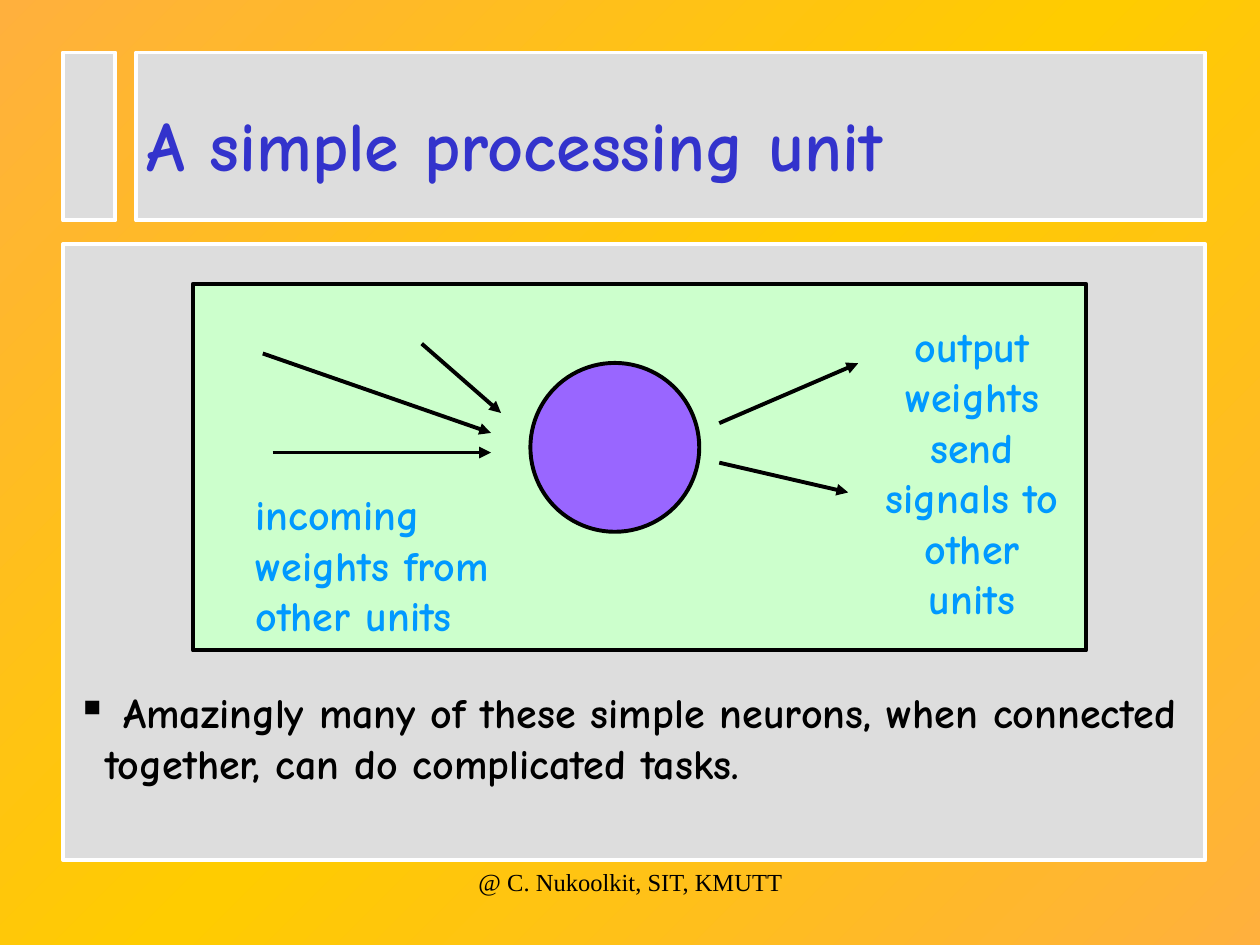
from copy import deepcopy

from lxml import etree
from pptx import Presentation
from pptx.dml.color import RGBColor
from pptx.enum.shapes import MSO_CONNECTOR, MSO_SHAPE
from pptx.enum.text import PP_ALIGN
from pptx.oxml.ns import qn
from pptx.util import Pt

RECT = MSO_SHAPE.RECTANGLE
OVAL = MSO_SHAPE.OVAL
LINE = MSO_CONNECTOR.STRAIGHT
LEFT = PP_ALIGN.LEFT
MID = PP_ALIGN.CENTER

ORANGE = RGBColor(0xFF, 0xB0, 0x3D)
GOLD = RGBColor(0xFF, 0xCC, 0x00)
GREY = RGBColor(0xDD, 0xDD, 0xDD)
WHITE = RGBColor(0xFF, 0xFF, 0xFF)
BLACK = RGBColor(0x00, 0x00, 0x00)
GREEN = RGBColor(0xCC, 0xFF, 0xCC)
PURPLE = RGBColor(0x99, 0x66, 0xFF)
NAVY = RGBColor(0x33, 0x33, 0xCC)
BLUE = RGBColor(0x00, 0x99, 0xFF)


class Page:
    """Style of the deck and the slide being built; lengths in points."""
    font = "Comic Neue"
    size = 24
    width = 2.25
    hang = 16.2

    def __init__(self, slide):
        self.slide = slide
        self.shapes = slide.shapes

    def back(self, edge, core):
        fill = self.slide.background.fill
        fill.gradient()
        fill.gradient_angle = 315
        first = next(self.slide.element.iter(qn("a:gs")))
        middle = deepcopy(first)
        first.addnext(middle)
        colours = (edge, core, edge)
        for i, (stop, colour) in enumerate(zip(fill.gradient_stops, colours)):
            stop.color.rgb = colour
            stop.position = i / 2

    def shape(self, kind, box, fill, line):
        item = self.shapes.add_shape(kind, *map(Pt, box))
        item.shadow.inherit = False
        item.fill.solid()
        item.fill.fore_color.rgb = fill
        item.line.color.rgb = line
        item.line.width = Pt(self.width)

    def arrow(self, start, end):
        item = self.shapes.add_connector(LINE, *map(Pt, start + end))
        item.line.color.rgb = BLACK
        item.line.width = Pt(self.width)
        etree.SubElement(item.line._get_or_add_ln(), qn("a:tailEnd"),
                         type="triangle")
        etree.SubElement(item._element.spPr, qn("a:effectLst"))

    def text(self, words, box, size=None, colour=BLACK, font=None,
             bold=True, align=LEFT, bullet=None):
        frame = self.shapes.add_textbox(*map(Pt, box)).text_frame
        frame.word_wrap = True
        para = frame.paragraphs[0]
        para.text = words
        para.alignment = align
        if bullet:
            self.bullet(para, bullet)
        para.font.name = font or self.font
        para.font.size = Pt(size or self.size)
        para.font.bold = bold
        para.font.color.rgb = colour

    def bullet(self, para, mark):
        props = para._p.get_or_add_pPr()
        props.set("marL", str(Pt(self.hang)))
        props.set("indent", str(-Pt(self.hang)))
        etree.SubElement(props, qn("a:buChar"), char=mark)


def main():
    deck = Presentation()
    deck.slide_width, deck.slide_height = Pt(720), Pt(540)
    page = Page(deck.slides.add_slide(deck.slide_layouts[6]))

    # Background and panels
    page.back(ORANGE, GOLD)
    for box in ((77.8, 30, 610.8, 96), (36, 30, 30, 96),
                (36, 139.5, 652.8, 352)):
        page.shape(RECT, box, GREY, WHITE)

    # Title
    page.text("A simple processing unit", (76.5, 54.7, 612.7, 55.5),
              size=40, colour=NAVY)

    # Neuron in its frame
    page.shape(RECT, (110.2, 162.2, 510.5, 209.5), GREEN, BLACK)
    page.shape(OVAL, (303.1, 207.4, 96.5, 96.5), PURPLE, BLACK)

    # Incoming, then outgoing weights
    for start, end in (((155.8, 258.6), (280.6, 258.6)),
                       ((150.2, 202), (280.6, 247.4)),
                       ((241, 196.4), (286.3, 236)),
                       ((411, 241.8), (490.4, 207.6)),
                       ((411, 264.4), (484.7, 281.4))):
        page.arrow(start, end)
    page.text("incoming weights from other units",
              (138.9, 275.8, 170, 93.6), colour=BLUE)
    page.text("output weights send signals to other units",
              (496, 179.6, 119, 180), colour=BLUE, align=MID)

    # Remark and footer
    page.text(" Amazingly many of these simple neurons, when connected "
              "together, can do complicated tasks.",
              (36.8, 389, 652.3, 64.8), bullet="▪")
    page.text("@ C. Nukoolkit, SIT, KMUTT", (246.2, 491.8, 228.2, 36),
              size=14, font="Times New Roman", bold=False, align=MID)

    deck.save("out.pptx")


if __name__ == "__main__":
    main()
